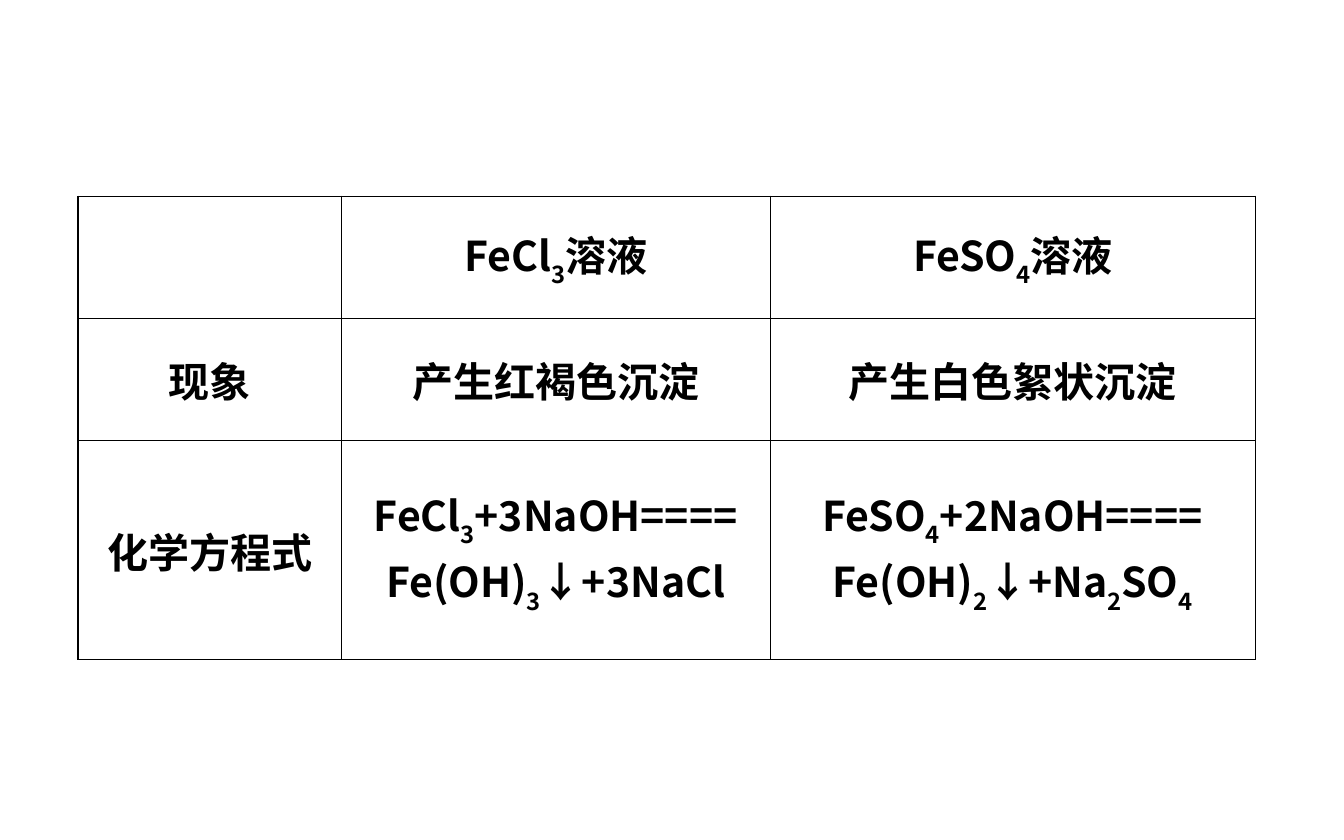
from lxml import etree
from pptx import Presentation
from pptx.dml.color import RGBColor
from pptx.enum import text
from pptx.oxml import ns
from pptx.util import Inches, Pt

BLACK = RGBColor(0, 0, 0)
FONT = "Noto Sans CJK SC"
OUTER, INNER = Pt(0.75), Pt(0.45)
TEXT_FORMAT = {"name": FONT, "size": Pt(22), "bold": True}

COLUMN_WIDTHS = [1.96, 3.19, 3.61]
ROW_HEIGHTS = [0.91, 0.91, 1.63]
# Underscores enclose subscripts; a line break starts a new paragraph
REACTIONS = [
    ["", "FeCl_3_溶液", "FeSO_4_溶液"],
    ["现象", "产生红褐色沉淀", "产生白色絮状沉淀"],
    ["化学方程式",
     "FeCl_3_+3NaOH====\nFe(OH)_3_↓+3NaCl",
     "FeSO_4_+2NaOH====\nFe(OH)_2_↓+Na_2_SO_4_"],
]


def add_formula(para, formula):
    para.alignment = text.PP_ALIGN.CENTER
    for index, part in enumerate(formula.split("_")):
        if not part:
            continue
        span = para.add_run()
        span.text = part
        for name, value in TEXT_FORMAT.items():
            setattr(span.font, name, value)
        span.font.color.rgb = BLACK
        properties = span.font._element
        etree.SubElement(properties, ns.qn("a:ea")).set("typeface", FONT)
        if index % 2:
            properties.set("baseline", "-30000")


def set_borders(cell, widths):
    properties = cell._tc.get_or_add_tcPr()
    for side, width in widths.items():
        line = etree.SubElement(properties, ns.qn(f"a:ln{side}"), w=str(int(width)))
        fill = etree.SubElement(line, ns.qn("a:solidFill"))
        etree.SubElement(fill, ns.qn("a:srgbClr"), val=str(BLACK))


def add_reaction_table(page, left, top, width, height):
    rows, columns = len(ROW_HEIGHTS), len(COLUMN_WIDTHS)
    table = page.shapes.add_table(rows, columns, left, top, width, height).table
    table.first_row = table.horz_banding = False
    for column, size in zip(table.columns, COLUMN_WIDTHS):
        column.width = int(width * size / sum(COLUMN_WIDTHS))
    for row, size in zip(table.rows, ROW_HEIGHTS):
        row.height = int(height * size / sum(ROW_HEIGHTS))

    for r, formulas in enumerate(REACTIONS):
        for c, content in enumerate(formulas):
            cell = table.cell(r, c)
            # Outer edges are heavier than the inner grid
            set_borders(cell, {
                "L": OUTER if c == 0 else INNER,
                "R": OUTER if c == columns - 1 else INNER,
                "T": OUTER if r == 0 else INNER,
                "B": OUTER if r == rows - 1 else INNER,
            })
            cell.fill.background()
            cell.vertical_anchor = text.MSO_ANCHOR.MIDDLE
            # One paragraph for each line of the cell
            frame = cell.text_frame
            for index, formula in enumerate(content.split("\n")):
                para = frame.add_paragraph() if index else frame.paragraphs[0]
                add_formula(para, formula)


def main():
    deck = Presentation()
    deck.slide_width, deck.slide_height = Inches(10), Inches(6.25)
    page = deck.slides.add_slide(deck.slide_layouts[6])
    add_reaction_table(page, Inches(0.58), Inches(1.46), Inches(8.76), Inches(3.45))
    deck.save("out.pptx")


if __name__ == "__main__":
    main()
